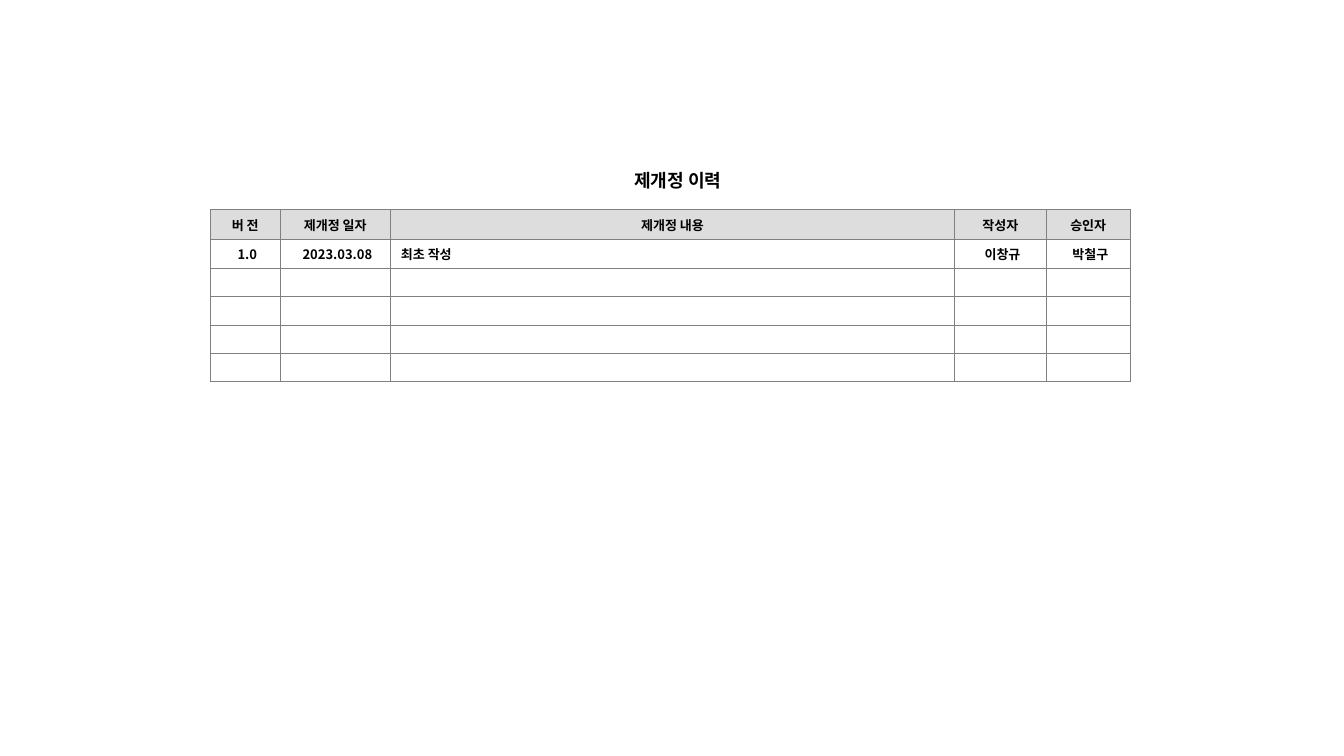
import pptx
import pptx.util
import pptx.dml.color
import pptx.enum.text
import pptx.oxml.ns
import lxml.etree

Pt = pptx.util.Pt
Align = pptx.enum.text.PP_ALIGN
Anchor = pptx.enum.text.MSO_ANCHOR
qn = pptx.oxml.ns.qn

theme = {
    "font": "Noto Sans CJK KR",
    "text": "000000",
    "header": "DDDDDD",
    "border": "808080",
    "title_size": 18.1,
    "cell_size": 13,
    "inner_line": 0.75,
    "outer_line": 1.5,
}


def write_text(frame, text, size=theme["cell_size"], align=Align.CENTER,
               spacing=1.0, before=0, indent=0):
    para = frame.paragraphs[0]
    para.alignment = align
    para.line_spacing = spacing
    para.space_before = Pt(before)
    properties = para._p.get_or_add_pPr()
    properties.set("marL", "0")
    properties.set("indent", str(Pt(indent)))
    if not text:
        ending = lxml.etree.SubElement(para._p, qn("a:endParaRPr"))
        ending.set("sz", str(size * 100))
        return
    span = para.add_run()
    span.text = text
    span.font.name = theme["font"]
    span.font.size = Pt(size)
    span.font.bold = True
    span.font.color.rgb = pptx.dml.color.RGBColor.from_string(theme["text"])
    east_asian = lxml.etree.SubElement(span._r.get_or_add_rPr(), qn("a:ea"))
    east_asian.set("typeface", theme["font"])


def set_borders(cell, widths):
    properties = cell._tc.get_or_add_tcPr()
    for position, (side, width) in enumerate(widths.items()):
        line = lxml.etree.Element(qn("a:ln" + side), w=str(Pt(width)))
        fill = lxml.etree.SubElement(line, qn("a:solidFill"))
        lxml.etree.SubElement(fill, qn("a:srgbClr"), val=theme["border"])
        properties.insert(position, line)


deck = pptx.Presentation()
deck.slide_width = Pt(1344)
deck.slide_height = Pt(756)
page = deck.slides.add_slide(deck.slide_layouts[5])

title = page.shapes.title
title.left, title.top, title.width, title.height = Pt(627), Pt(165.6), Pt(112.4), Pt(29.5)
title.text_frame.word_wrap = False
title.text_frame.auto_size = pptx.enum.text.MSO_AUTO_SIZE.NONE
title.text_frame.vertical_anchor = Anchor.TOP
write_text(title.text_frame, "제개정 이력", size=theme["title_size"], align=Align.LEFT)

column_widths = [70, 110, 564.5, 91.4, 84.2]
row_heights = [30, 29] + [28.3] * 4
history = [
    ["버 전", "제개정 일자", "제개정 내용", "작성자", "승인자"],
    ["1.0", "2023.03.08", "최초 작성", "이창규", "박철구"],
] + [[""] * 5] * 4
last_row = len(row_heights) - 1
last_column = len(column_widths) - 1

table = page.shapes.add_table(
    len(row_heights), len(column_widths), Pt(210.2), Pt(209.5),
    Pt(sum(column_widths)), Pt(sum(row_heights))).table
table.first_row = False
table.horz_banding = False
for column, width in zip(table.columns, column_widths):
    column.width = Pt(width)
for row, height in zip(table.rows, row_heights):
    row.height = Pt(height)

for row_index, texts in enumerate(history):
    for column_index, text in enumerate(texts):
        cell = table.cell(row_index, column_index)
        is_header = row_index == 0
        side_margin, end_margin = (9.4, 4.3) if is_header else (6.5, 2.2)
        cell.margin_left = cell.margin_right = Pt(side_margin)
        cell.margin_top = cell.margin_bottom = Pt(end_margin)
        if is_header:
            cell.vertical_anchor = Anchor.TOP
            cell.fill.solid()
            cell.fill.fore_color.rgb = pptx.dml.color.RGBColor.from_string(theme["header"])
            write_text(cell.text_frame, text, spacing=1.1, before=2.6)
        else:
            cell.vertical_anchor = Anchor.MIDDLE
            cell.fill.background()
            align = Align.JUSTIFY if column_index == 2 else Align.CENTER
            write_text(cell.text_frame, text, align=align, indent=4.3)
        on_edge = {
            "L": column_index == 0,
            "R": column_index == last_column,
            "T": is_header,
            "B": row_index == last_row,
        }
        set_borders(cell, {
            side: theme["outer_line"] if outer else theme["inner_line"]
            for side, outer in on_edge.items()})

deck.save("out.pptx")
